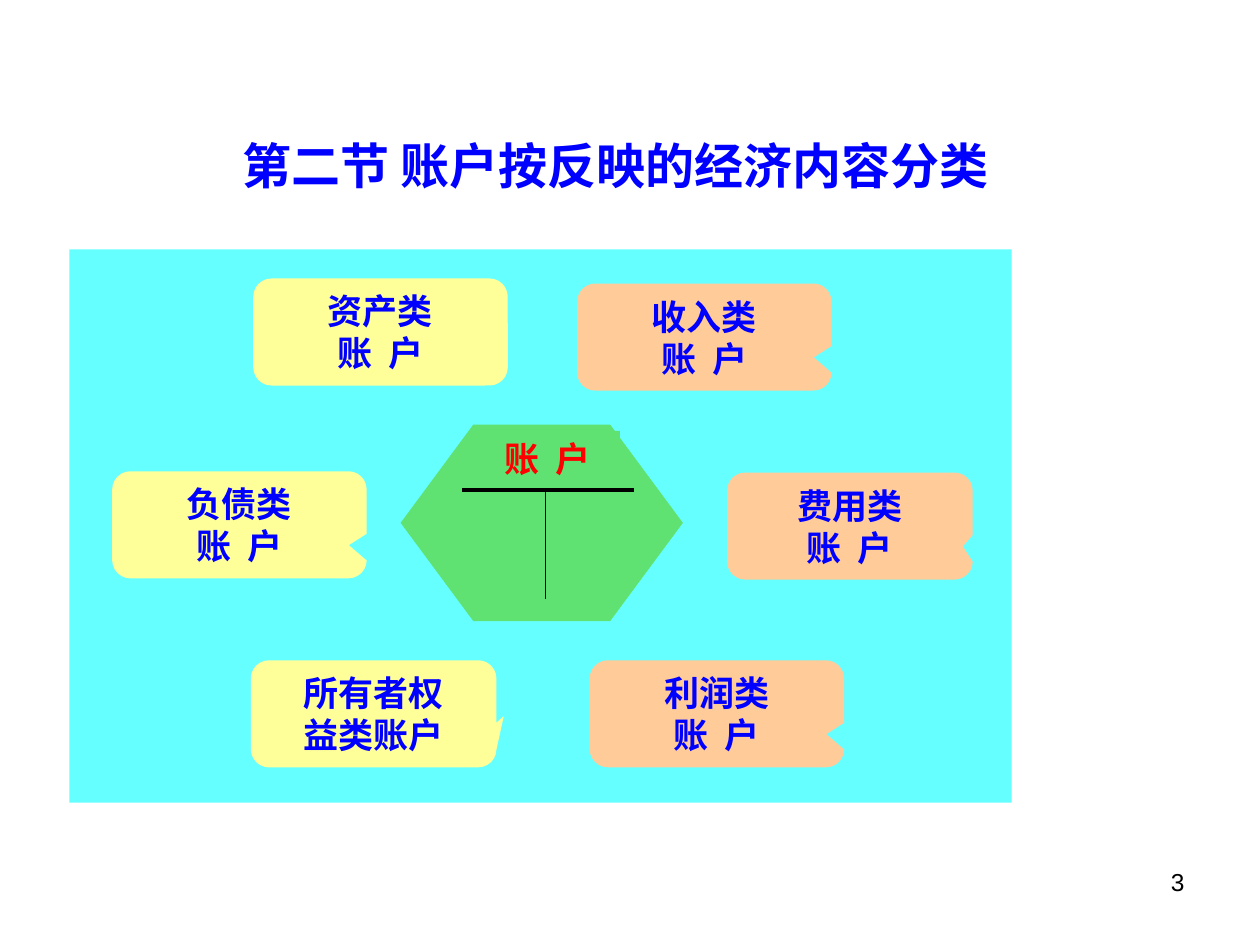
from lxml import etree
from pptx import Presentation
from pptx.dml.color import RGBColor
from pptx.enum.shapes import MSO_CONNECTOR, MSO_SHAPE
from pptx.enum.text import MSO_ANCHOR, PP_ALIGN
from pptx.oxml.ns import qn
from pptx.util import Inches, Pt

RECT, HEX = MSO_SHAPE.RECTANGLE, MSO_SHAPE.HEXAGON
CALL = MSO_SHAPE.ROUNDED_RECTANGULAR_CALLOUT
LINE = MSO_CONNECTOR.STRAIGHT
MID, TOP = MSO_ANCHOR.MIDDLE, MSO_ANCHOR.TOP
MIDDLE, RIGHT = PP_ALIGN.CENTER, PP_ALIGN.RIGHT
HAN = "Noto Sans CJK SC"
HUES = {"panel": "66FFFF", "yellow": "FFFF99", "peach": "FFCC99",
        "green": "60E273", "blue": "0000FF", "red": "FF0000",
        "black": "000000"}
RGB = {name: RGBColor.from_string(code) for name, code in HUES.items()}

deck = Presentation()
deck.slide_width, deck.slide_height = Inches(10), Inches(7.5)
CELL = deck.slide_width // 100  # grid of 100 columns by 75 rows
slide = deck.slides.add_slide(deck.slide_layouts[5])


def write(shape, text, size, hue, face=HAN, bold=True, align=MIDDLE, anchor=MID):
    frame = shape.text_frame
    frame.text = text
    frame.word_wrap = True
    frame.vertical_anchor = anchor
    for para in frame.paragraphs:
        para.alignment = align
        font = para.font
        font.size, font.bold, font.name = Pt(size), bold, face
        font.color.rgb = RGB[hue]
        east = etree.SubElement(font._element, qn("a:ea"))
        east.set("typeface", face)


def block(kind, box, hue, adj=()):
    shape = chart.shapes.add_shape(kind, *[int(n * CELL) for n in box])
    shape.shadow.inherit = False
    shape.fill.solid()
    shape.fill.fore_color.rgb = RGB[hue]
    shape.line.fill.background()
    for i, value in enumerate(adj):
        shape.adjustments[i] = value
    return shape


# Title
title = slide.shapes.title
title.left, title.top, title.width, title.height = [
    int(n * CELL) for n in (6.7, 8.4, 84.3, 9.3)]
write(title, "第二节 账户按反映的经济内容分类", 28, "blue")

# Panel behind the diagram
chart = slide.shapes.add_group_shape()
block(RECT, (5.5, 19.8, 74.8, 43.9), "panel")

# Six account classes: left, top, width, tail, fill, text
ACCT = "账  户"
notes = [
    (20.1, 22.1, 20.2, (0.5, 0.02), "yellow", f"资产类\n{ACCT}"),
    (8.9, 37.4, 20.2, (0.43, 0.19), "yellow", f"负债类\n{ACCT}"),
    (19.9, 52.4, 19.5, (0.53, 0.02), "yellow", "所有者权\n益类账户"),
    (45.8, 22.5, 20.2, (0.43, 0.19), "peach", f"收入类\n{ACCT}"),
    (46.8, 52.4, 20.2, (0.43, 0.19), "peach", f"利润类\n{ACCT}"),
    (57.7, 37.5, 19.5, (0.46, 0.19), "peach", f"费用类\n{ACCT}"),
]
for left, top, width, tail, hue, text in notes:
    note = block(CALL, (left, top, width, 8.5), hue, (*tail, 0.17))
    write(note, text, 20, "blue")

# Hexagon with its T-account
block(HEX, (31.8, 33.7, 22.4, 15.6), "green", (0.37,))
write(block(RECT, (37.7, 34.2, 11.5, 4.3), "green"), ACCT, 20, "red")
for ends, weight in [((36.7, 38.9, 50.3, 38.9), 2.25),
                     ((43.3, 38.9, 43.3, 47.5), 0.75)]:
    bar = chart.shapes.add_connector(LINE, *[int(n * CELL) for n in ends])
    bar.line.color.rgb = RGB["black"]
    bar.line.width = Pt(weight)
    etree.SubElement(bar._element.spPr, qn("a:effectLst"))

# Page number
page = slide.shapes.add_textbox(*[int(n * CELL) for n in (71.7, 68.3, 23.3, 5.2)])
write(page, "3", 14, "black", "Arial", False, RIGHT, TOP)

deck.save("out.pptx")
